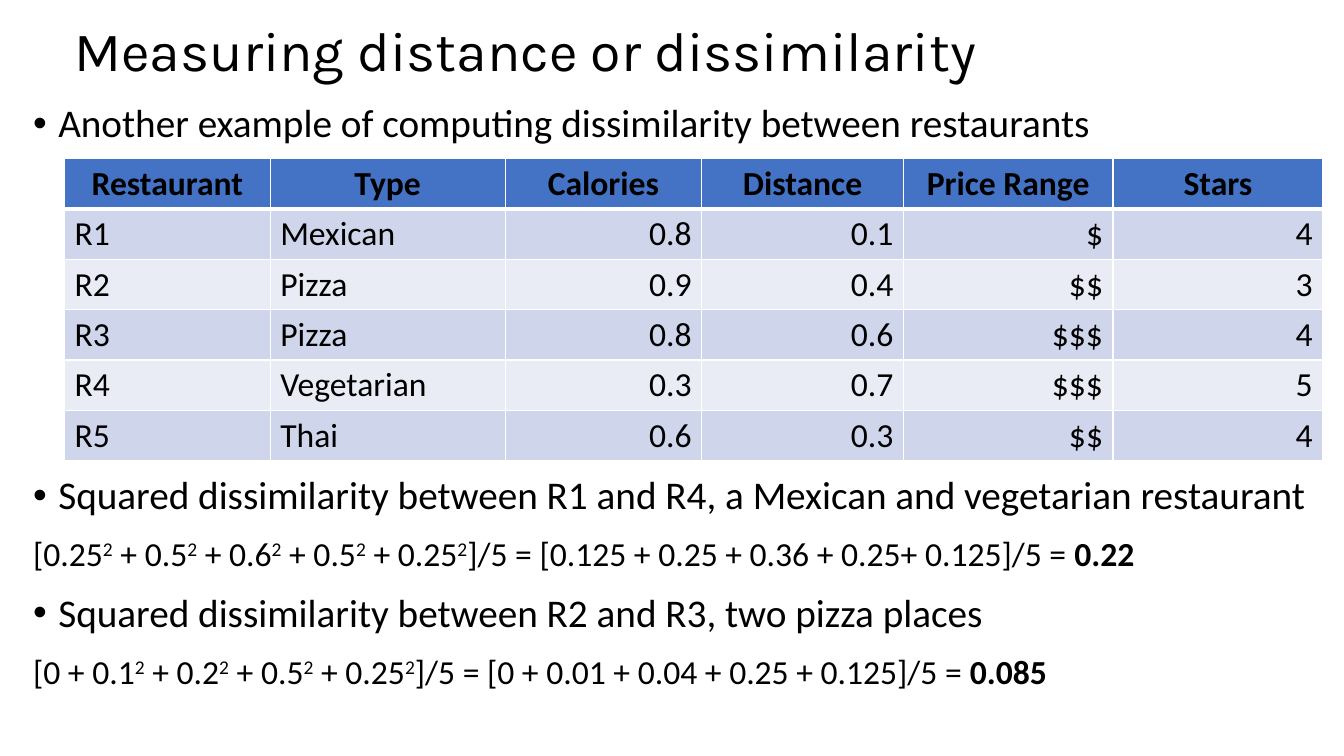
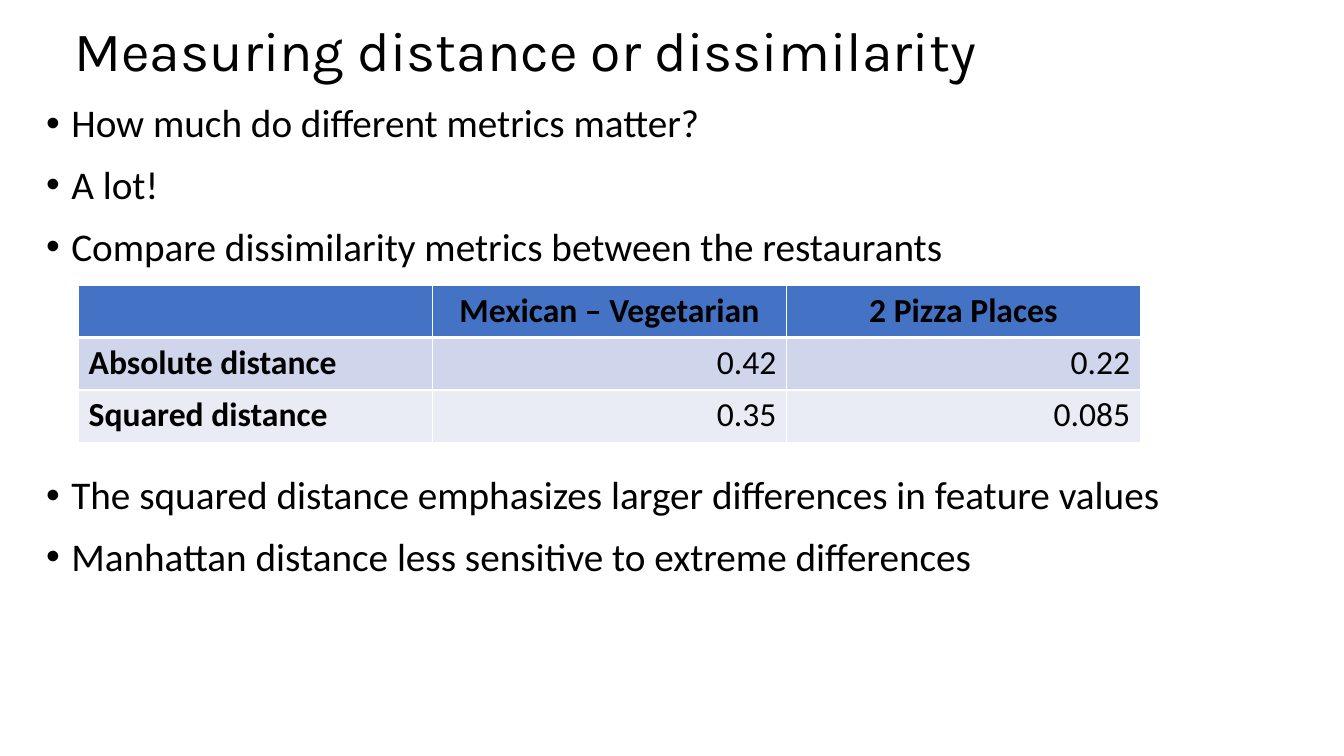
from lxml.etree import SubElement
from pptx import Presentation
from pptx.dml.color import RGBColor
from pptx.enum.text import MSO_ANCHOR, PP_ALIGN
from pptx.oxml import parse_xml
from pptx.oxml.ns import nsdecls, qn
from pptx.util import Inches, Pt

INK, WHITE = "000000", "FFFFFF"
HEAD, BANDS = "4472C4", ("CFD5EA", "E9EBF5")
TITLE = "Measuring distance or dissimilarity"
TOP, LOWER = 0.98, 4.67
LEFT, CENTER, RIGHT = PP_ALIGN.LEFT, PP_ALIGN.CENTER, PP_ALIGN.RIGHT


def color(code):
    return RGBColor.from_string(code)


def write(par, text, size=28, font="Calibri", bold=False, raised=False):
    run = par.add_run()
    run.text = text
    run.font.size = Pt(size)
    run.font.name = font
    run.font.bold = bold
    run.font.color.rgb = color(INK)
    if raised:
        run.font._element.set("baseline", "30000")


def add_box(slide, left, top, width, height):
    box = slide.shapes.add_textbox(
        Inches(left), Inches(top), Inches(width), Inches(height))
    box.text_frame.word_wrap = True
    return box.text_frame


def add_line(frame):
    first = frame.paragraphs[0]
    par = frame.add_paragraph() if first.runs else first
    par.line_spacing = 0.9
    par.space_before = Pt(14)
    return par


def add_bullet(frame, text):
    par = add_line(frame)
    props = par._p.get_or_add_pPr()
    props.set("marL", str(Inches(0.25)))
    props.set("indent", str(Inches(-0.25)))
    SubElement(props, qn("a:buFont"), typeface="Arial")
    SubElement(props, qn("a:buChar"), char="•")
    write(par, text)


def add_sum(frame, text, result):
    par = add_line(frame)
    start, *parts = text.split("^")
    write(par, start, size=24)
    for part in parts:
        write(par, part[0], size=24, raised=True)
        write(par, part[1:], size=24)
    write(par, result, size=24, bold=True)


def add_title(slide):
    frame = add_box(slide, 0.64, 0.24, 11.5, 0.58)
    frame.vertical_anchor = MSO_ANCHOR.MIDDLE
    par = frame.paragraphs[0]
    par.line_spacing = 0.9
    write(par, TITLE, size=39.6, font="Karla")


def set_edges(cell, row):
    sides = {"L": 1, "R": 1, "T": 3 if row == 1 else 1, "B": 3 if row == 0 else 1}
    props = cell._tc.get_or_add_tcPr()
    for spot, (side, width) in enumerate(sides.items()):
        props.insert(spot, parse_xml(
            f'<a:ln{side} {nsdecls("a")} w="{Pt(width)}"><a:solidFill>'
            f'<a:srgbClr val="{WHITE}"/></a:solidFill></a:ln{side}>'))


def add_grid(slide, left, top, widths, height, rows, aligns, bold=False):
    table = slide.shapes.add_table(
        len(rows), len(widths), Inches(left), Inches(top),
        Inches(sum(widths)), Inches(height * len(rows))).table
    for column, width in zip(table.columns, widths):
        column.width = Inches(width)
    for r, row in enumerate(rows):
        for c, text in enumerate(row):
            cell = table.cell(r, c)
            cell.fill.solid()
            cell.fill.fore_color.rgb = color(BANDS[(r - 1) % 2] if r else HEAD)
            set_edges(cell, r)
            par = cell.text_frame.paragraphs[0]
            par.alignment = aligns[c] if r else CENTER
            if text:
                write(par, text, size=24, bold=r == 0 or (bold and c == 0))


def add_slide(deck):
    slide = deck.slides.add_slide(deck.slide_layouts[6])
    add_title(slide)
    return slide


def add_foods(deck):
    slide = add_slide(deck)
    add_bullet(add_box(slide, 0.23, TOP, 13.1, 0.55),
               "Another example of computing dissimilarity between restaurants")
    rows = [
        ("Restaurant", "Type", "Calories", "Distance", "Price Range", "Stars"),
        ("R1", "Mexican", "0.8", "0.1", "$", "4"),
        ("R2", "Pizza", "0.9", "0.4", "$$", "3"),
        ("R3", "Pizza", "0.8", "0.6", "$$$", "4"),
        ("R4", "Vegetarian", "0.3", "0.7", "$$$", "5"),
        ("R5", "Thai", "0.6", "0.3", "$$", "4"),
    ]
    add_grid(slide, 0.64, 1.57, (2.04, 2.33, 1.95, 2, 2.08, 2.08), 0.5,
             rows, [LEFT] * 2 + [RIGHT] * 4)
    frame = add_box(slide, 0.23, LOWER, 13.1, 2.54)
    add_bullet(frame, "Squared dissimilarity between R1 and R4, "
                      "a Mexican and vegetarian restaurant")
    add_sum(frame, "[0.25^2 + 0.5^2 + 0.6^2 + 0.5^2 + 0.25^2]/5 = "
                   "[0.125 + 0.25 + 0.36 + 0.25+ 0.125]/5 = ", "0.22")
    add_bullet(frame, "Squared dissimilarity between R2 and R3, two pizza places")
    add_sum(frame, "[0 + 0.1^2 + 0.2^2 + 0.5^2 + 0.25^2]/5 = "
                   "[0 + 0.01 + 0.04 + 0.25 + 0.125]/5 = ", "0.085")


def add_metrics(deck):
    slide = add_slide(deck)
    upper = add_box(slide, 0.36, TOP, 12.6, 1.8)
    for text in ("How much do different metrics matter?", "A lot!",
                 "Compare dissimilarity metrics between the restaurants"):
        add_bullet(upper, text)
    rows = [
        ("", "Mexican – Vegetarian", "2 Pizza Places"),
        ("Absolute distance", "0.42", "0.22"),
        ("Squared distance", "0.35", "0.085"),
    ]
    add_grid(slide, 0.78, 2.83, [3.51] * 3, 0.52, rows,
             (LEFT, RIGHT, RIGHT), bold=True)
    lower = add_box(slide, 0.36, LOWER, 12.6, 2.54)
    for text in (
            "The squared distance emphasizes larger differences in feature values",
            "Manhattan distance less sensitive to extreme differences"):
        add_bullet(lower, text)


def main():
    deck = Presentation()
    deck.slide_width, deck.slide_height = Inches(13.33), Inches(7.5)
    add_foods(deck)
    add_metrics(deck)
    deck.save("out.pptx")


if __name__ == "__main__":
    main()
